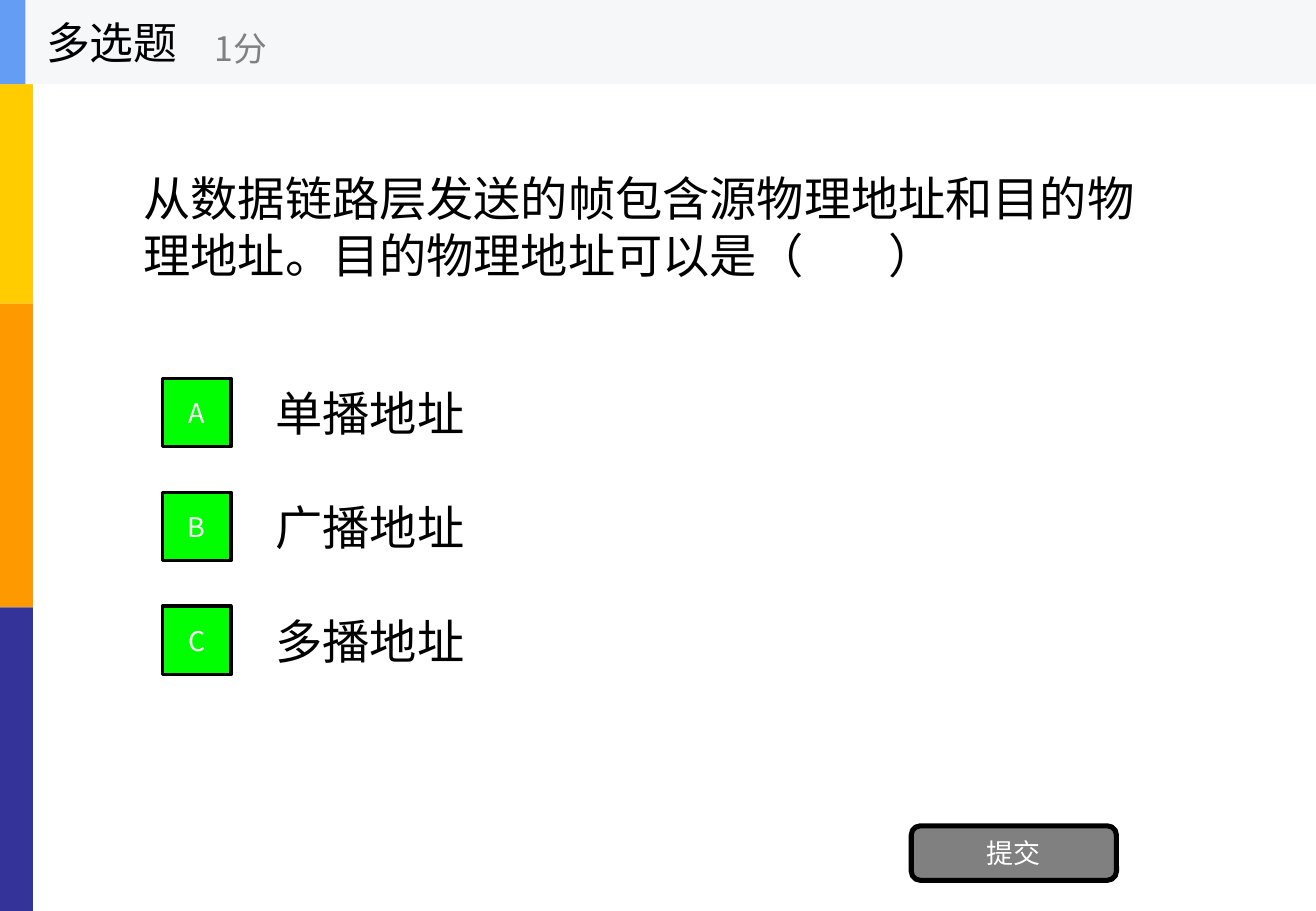
from lxml.etree import SubElement
from pptx import Presentation
from pptx.dml.color import RGBColor
from pptx.enum.shapes import MSO_SHAPE as Shape
from pptx.enum.text import MSO_ANCHOR as Anchor, MSO_AUTO_SIZE as Fit, PP_ALIGN as Align
from pptx.oxml.ns import qn
from pptx.util import Cm, Pt

HEAD = "多选题"
SCORE = "1分"
ASK = "从数据链路层发送的帧包含源物理地址和目的物理地址。目的物理地址可以是（        ）"
CHOICES = [("A", "单播地址"), ("B", "广播地址"), ("C", "多播地址")]
SEND = "提交"
BANDS = ["FFCC00", "FF9900", "333399"]

FACE = "Noto Sans CJK SC"
WIDE, HIGH = 27.51, 19.05
BAR = 1.76
FIRST, STEP, ROW, KEY = 7.74, 2.38, 1.78, 1.43


def color(code):
    return RGBColor.from_string(code)


def write(item, text, size, ink="000000", align=Align.LEFT):
    frame = item.text_frame
    frame.text = text
    form = {"word_wrap": True, "auto_size": Fit.NONE, "vertical_anchor": Anchor.MIDDLE}
    for name, value in form.items():
        setattr(frame, name, value)
    line = frame.paragraphs[0]
    line.alignment = align
    font = line.runs[0].font
    for name, value in {"size": Pt(size), "name": FACE, "bold": False}.items():
        setattr(font, name, value)
    font.color.rgb = color(ink)
    SubElement(line.runs[0]._r.get_or_add_rPr(), qn("a:ea"), typeface=FACE)


def block(box, fill, edge=0, kind=Shape.RECTANGLE):
    item = slide.shapes.add_shape(kind, *map(Cm, box))
    item.shadow.inherit = False
    item.fill.solid()
    item.fill.fore_color.rgb = color(fill)
    if edge:
        item.line.color.rgb = color("000000")
        item.line.width = Pt(edge)
    else:
        item.line.fill.background()
    return item


def label(box, *style):
    write(slide.shapes.add_textbox(*map(Cm, box)), *style)


deck = Presentation()
deck.slide_width, deck.slide_height = Cm(WIDE), Cm(HIGH)
slide = deck.slides.add_slide(deck.slide_layouts[5])

tall = HIGH / len(BANDS)
for i, fill in enumerate(BANDS):
    block((0, i * tall, 0.69, tall), fill)

label((2.75, BAR, 22.02, 5.94), ASK, 28)
for i, (key, text) in enumerate(CHOICES):
    top = FIRST + i * STEP
    label((5.51, top, 19.25, ROW), text, 28)
    mark = block((3.4, top + (ROW - KEY) / 2, KEY, KEY), "00FF00", 2)
    write(mark, key, 16, "FFFFFF", Align.CENTER)

send = block((19.05, 17.27, 4.29, 1.14), "808080", 3, Shape.ROUNDED_RECTANGLE)
write(send, SEND, 16, "FFFFFF", Align.CENTER)

block((0, 0, WIDE, BAR), "F6F7F8")
block((0, 0, 0.53, BAR), "639EF4")
title = slide.shapes.title
place = {"left": 0.71, "top": 0, "width": 5.28, "height": BAR}
for name, value in place.items():
    setattr(title, name, Cm(value))
write(title, HEAD, 26)
title.element.getparent().append(title.element)
label((4.24, 0.3, 6.35, 1.42), SCORE, 20, "808080")

deck.save("out.pptx")
